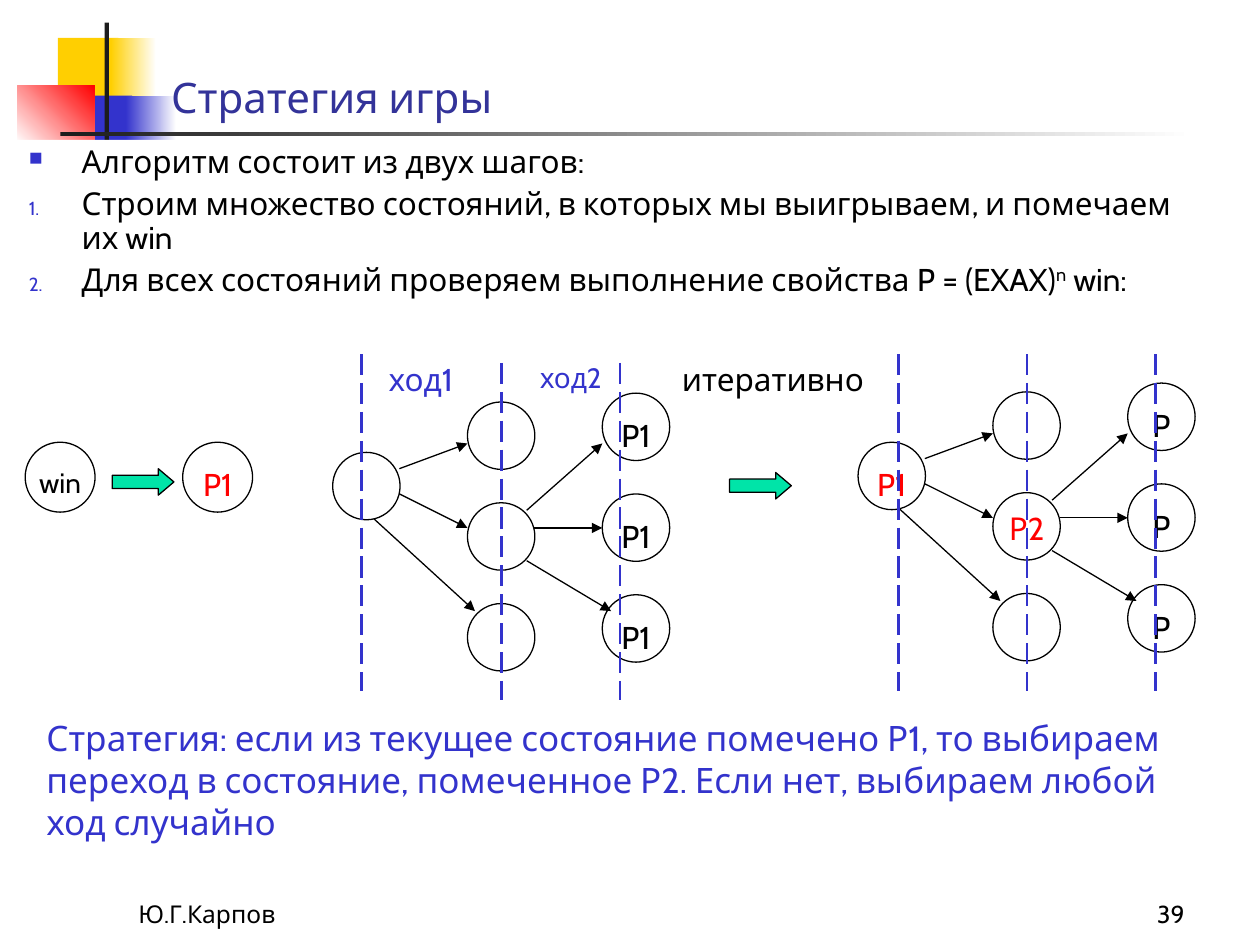
import dataclasses

import lxml.etree
import pptx
import pptx.dml.color
import pptx.enum.dml
import pptx.enum.shapes
import pptx.enum.text
import pptx.oxml.ns
import pptx.util

SHAPE = pptx.enum.shapes.MSO_SHAPE
ALIGN = pptx.enum.text.PP_ALIGN
ANCHOR = pptx.enum.text.MSO_ANCHOR
CELL = pptx.util.Inches(0.1)  # the page is a grid of 100 columns by 75 rows
NODE = 5.35  # diameter of a tree node
STEP = 10.7  # distance between tree levels


@dataclasses.dataclass(frozen=True)
class Theme:
    font: str = "Cabin"
    black: str = "000000"
    white: str = "FFFFFF"
    red: str = "FF0000"
    blue: str = "3333CC"
    title_blue: str = "333399"
    yellow: str = "FFCF01"
    dark: str = "1C1C1C"
    green: str = "00E4A8"
    title: int = 24
    strategy: int = 20
    body: int = 18
    small: int = 16
    footer: int = 14
    thin: float = 0.75
    dashed: float = 1.5


THEME = Theme()


def grid(*cells):
    return [round(cell * CELL) for cell in cells]


def rgb(value):
    return pptx.dml.color.RGBColor.from_string(value)


def add_xml(parent, tag, **attributes):
    return lxml.etree.SubElement(parent, pptx.oxml.ns.qn(tag), attributes)


def add_shape(page, kind, area, fill=None, outlined=False):
    """A tuple as fill is a left-to-right gradient: start, end and optional angle."""
    shape = page.shapes.add_shape(kind, *grid(*area))
    shape.shadow.inherit = False
    if fill is None:
        shape.fill.background()
    elif isinstance(fill, tuple):
        shape.fill.gradient()
        shape.fill.gradient_angle = fill[2] if len(fill) > 2 else 0
        for stop, color in zip(shape.fill.gradient_stops, fill):
            stop.color.rgb = rgb(color)
    else:
        shape.fill.solid()
        shape.fill.fore_color.rgb = rgb(fill)
    if outlined:
        shape.line.color.rgb = rgb(THEME.black)
        shape.line.width = pptx.util.Pt(THEME.thin)
    else:
        shape.line.fill.background()
    return shape


def add_run(para, text, size, color):
    span = para.add_run()
    span.text = text
    span.font.name = THEME.font
    span.font.size = pptx.util.Pt(size)
    span.font.color.rgb = rgb(color)
    return span


def add_text(page, area, text, size=THEME.body, color=THEME.black,
             align=ALIGN.LEFT, anchor=ANCHOR.TOP):
    box = page.shapes.add_textbox(*grid(*area))
    box.text_frame.word_wrap = True
    box.text_frame.vertical_anchor = anchor
    para = box.text_frame.paragraphs[0]
    para.alignment = align
    add_run(para, text, size, color)


def add_line(page, start, end, color=THEME.black, width=THEME.thin):
    line = page.shapes.add_connector(
        pptx.enum.shapes.MSO_CONNECTOR.STRAIGHT, *grid(*start, *end))
    line.line.color.rgb = rgb(color)
    line.line.width = pptx.util.Pt(width)
    add_xml(line._element.spPr, "a:effectLst")
    return line


def add_edge(page, start, end):
    edge = add_line(page, start, end)
    add_xml(edge.line._get_or_add_ln(), "a:tailEnd", type="triangle")


def add_level_mark(page, column, top):
    mark = add_line(page, (column, top), (column, top + 26.75), THEME.blue, THEME.dashed)
    mark.line.dash_style = pptx.enum.dml.MSO_LINE.LONG_DASH


def add_node(page, left, top, label="", color=THEME.black, size=THEME.body,
             diameter=NODE, drop=1.35):
    """Draw a state; drop is how far below its top the label's box begins."""
    add_shape(page, SHAPE.OVAL, (left, top, diameter, diameter), outlined=True)
    if label:
        add_text(page, (left, top + drop, diameter, 4), label, size, color, ALIGN.CENTER)


def add_block_arrow(page, left, top):
    arrow = add_shape(page, SHAPE.RIGHT_ARROW, (left, top, 4.9, 2.1), THEME.green, True)
    arrow.adjustments[1] = 0.59


def add_tree(page, left, top, leaf, root="", chosen=""):
    """Draw a root, three replies and the three leaves of the middle reply."""
    add_node(page, left, top, root, THEME.red)
    for row in range(3):
        reply = chosen if row == 1 else ""
        add_node(page, left + STEP, top - 4 + 8 * row, reply, THEME.red, drop=0.8)
        add_node(page, left + 2 * STEP, top - 4.7 + 8 * row, leaf)
    edges = [
        ((5.3, 1.3), (10.7, -0.7)), ((5.3, 3.3), (10.7, 6)), ((3.3, 5.3), (11.3, 12.6)),
        ((16, 6), (21.4, 6)), ((15.4, 4.6), (21.4, -0.7)), ((15.4, 8.6), (22.1, 12.6)),
    ]
    for start, end in edges:
        add_edge(page, (left + start[0], top + start[1]), (left + end[0], top + end[1]))


def add_decoration(page):
    blocks = [
        ((4.6, 3, 4.8, 5.2), THEME.yellow),
        ((8.8, 3, 3.6, 5.2), (THEME.yellow, THEME.white)),
        ((5.9, 7.6, 4.6, 5.2), THEME.blue),
        ((10, 7.6, 4, 5.2), (THEME.blue, THEME.white)),
        ((1.4, 6.8, 6.1, 4.6), (THEME.white, THEME.red, 45)),
        ((8.3, 1.8, 0.35, 11.5), THEME.dark),
        ((4.8, 10.5, 90, 0.3), (THEME.dark, THEME.white)),
    ]
    for area, fill in blocks:
        add_shape(page, SHAPE.RECTANGLE, area, fill)


def add_steps(page):
    box = add_shape(page, SHAPE.RECTANGLE, (1.3, 11.1, 93.8, 13.1), THEME.white)
    frame = box.text_frame
    frame.word_wrap = True
    frame.vertical_anchor = ANCHOR.TOP
    numbered = ("a:buAutoNum", {"type": "arabicPeriod"})
    steps = [
        (("a:buChar", {"char": "■"}), ["Алгоритм состоит из двух шагов:"]),
        (numbered, ["Строим множество состояний, в которых мы выигрываем, и помечаем их win"]),
        (numbered, ["Для всех состояний проверяем выполнение свойства P = (EXAX)", "n", " win:"]),
    ]
    for index, ((tag, attributes), texts) in enumerate(steps):
        para = frame.add_paragraph() if index else frame.paragraphs[0]
        para.alignment = ALIGN.LEFT
        para.line_spacing = 0.9
        para.space_before = pptx.util.Pt(4.5 if index else 0)
        properties = para._p.get_or_add_pPr()
        indent = grid(4.2)[0]
        properties.set("marL", str(indent))
        properties.set("indent", str(-indent))
        add_xml(add_xml(properties, "a:buClr"), "a:srgbClr", val=THEME.blue)
        add_xml(properties, "a:buSzPct", val="60000")
        add_xml(properties, tag, **attributes)
        for text in texts:
            span = add_run(para, text, THEME.body, THEME.black)
            if text == "n":
                span._r.get_or_add_rPr().set("baseline", "30000")


def main():
    deck = pptx.Presentation()
    deck.slide_width, deck.slide_height = grid(100, 75)
    page = deck.slides.add_slide(deck.slide_layouts[6])

    add_decoration(page)
    add_text(page, (10, 69.2, 20.8, 5), "Ю.Г.Карпов", THEME.footer, anchor=ANCHOR.BOTTOM)
    add_text(page, (74.2, 69.2, 20.8, 5), "39", THEME.footer, align=ALIGN.RIGHT,
             anchor=ANCHOR.BOTTOM)
    add_text(page, (12.6, 2.2, 85.2, 8), "Стратегия игры", THEME.title, THEME.title_blue,
             anchor=ANCHOR.BOTTOM)
    add_steps(page)

    add_node(page, 2, 35.1, "win", size=THEME.small, diameter=5.55)
    add_node(page, 14.5, 35.1, "P1", THEME.red, diameter=5.55)
    add_block_arrow(page, 8.9, 37.2)
    add_tree(page, 26.4, 35.9, "P1")
    add_tree(page, 68.1, 35.1, "P", root="P1", chosen="Р2")
    add_block_arrow(page, 57.9, 37.5)

    add_text(page, (53.1, 28.1, 16.5, 4), "итеративно", align=ALIGN.CENTER)
    add_text(page, (2.7, 56.4, 95.3, 11),
             "Стратегия: если из текущее состояние помечено Р1, то выбираем переход "
             "в состояние, помеченное Р2. Если нет, выбираем любой ход случайно",
             THEME.strategy, THEME.blue)
    add_text(page, (28.7, 28.1, 9.4, 4), "ход1", THEME.body, THEME.blue, ALIGN.CENTER)
    add_text(page, (40.6, 28.1, 9.4, 3.7), "ход2", THEME.small, THEME.blue, ALIGN.CENTER)
    for column, top in [(28.7, 28.1), (39.8, 28.8), (49.2, 28.8),
                        (71.3, 28.1), (81.5, 28.1), (91.7, 28.1)]:
        add_level_mark(page, column, top)

    deck.save("out.pptx")


if __name__ == "__main__":
    main()
